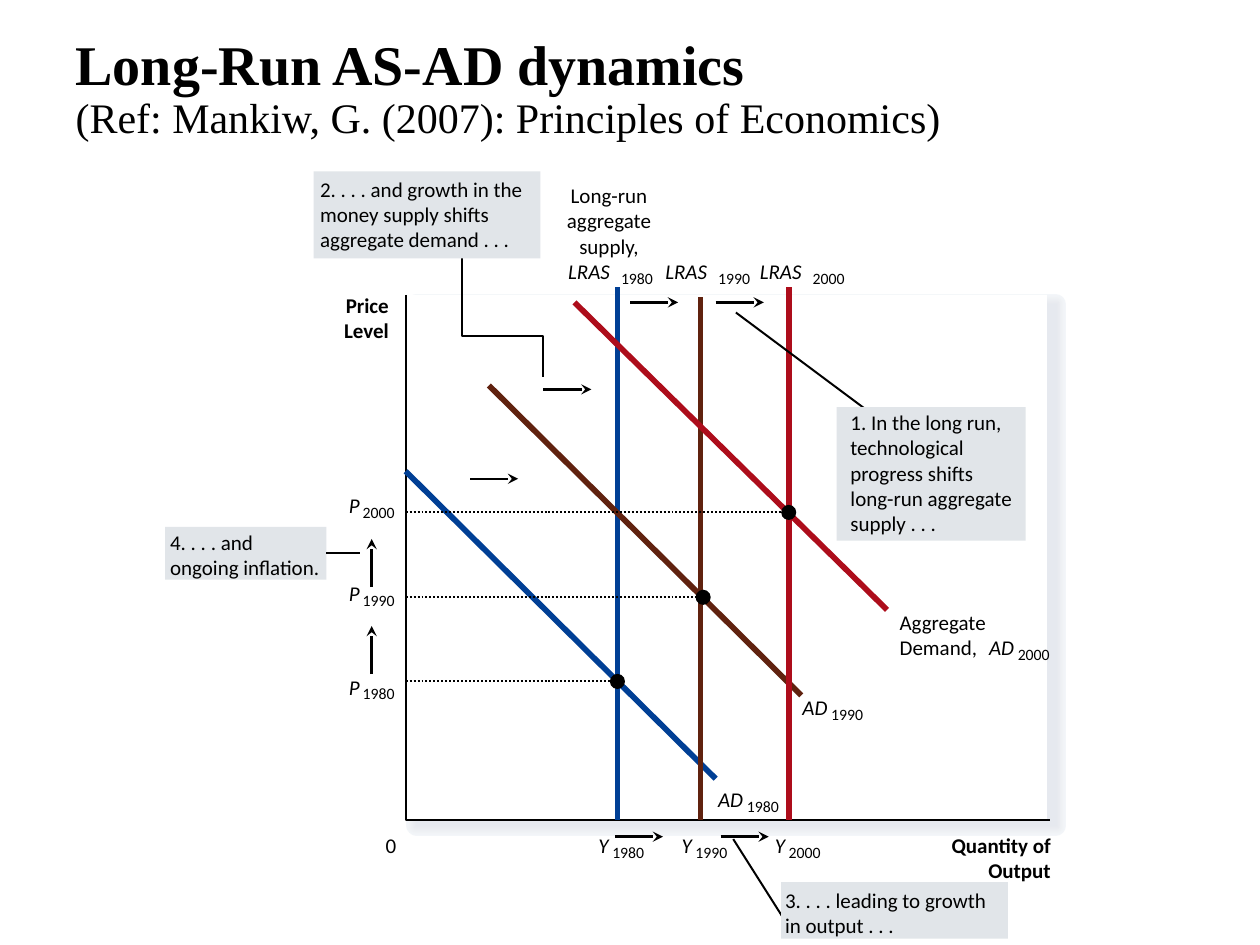
from lxml import etree
from pptx import Presentation
from pptx.dml.color import RGBColor
from pptx.enum import dml, shapes, text
from pptx.oxml import ns
from pptx.util import Pt

BLACK = RGBColor(0x00, 0x00, 0x00)
WHITE = RGBColor(0xFF, 0xFF, 0xFF)
BLUE = RGBColor(0x00, 0x3F, 0x95)
BROWN = RGBColor(0x60, 0x22, 0x0F)
RED = RGBColor(0xAD, 0x0D, 0x1B)
CALLOUT_GREY = RGBColor(0xE1, 0xE5, 0xE9)
SHADOW_STEPS = [
    (RGBColor(0xF3, 0xF6, 0xF9), 12), (RGBColor(0xF2, 0xF4, 0xF8), 10.88),
    (RGBColor(0xF1, 0xF4, 0xF7), 9.75), (RGBColor(0xF0, 0xF2, 0xF5), 8.75),
    (RGBColor(0xEE, 0xF1, 0xF4), 7.63), (RGBColor(0xED, 0xEF, 0xF3), 6.5),
    (RGBColor(0xEB, 0xEE, 0xF2), 5.5), (RGBColor(0xEA, 0xEC, 0xF1), 4.38),
    (RGBColor(0xE9, 0xEB, 0xF0), 3.25), (RGBColor(0xE7, 0xEA, 0xEF), 2.13),
    (RGBColor(0xE6, 0xE9, 0xEF), 1.13),
]
LEFT, RIGHT, CENTER = text.PP_ALIGN.LEFT, text.PP_ALIGN.RIGHT, text.PP_ALIGN.CENTER
THIN, ARROW, CURVE = 1.13, 1.38, 3.25
ARROW_LENGTH = 27.5
DOT = 8.64

TITLE = [("Long-Run AS-AD dynamics ", 32, True),
         ("(Ref: Mankiw, G. (2007): Principles of Economics)", 24, False)]

AXIS_LEFT, AXIS_TOP, AXIS_RIGHT, AXIS_BOTTOM = 231.8, 168.5, 599.8, 468.7

# Each year: supply curve, demand curve, equilibrium and the places of its labels
YEARS = [
    dict(year="1980", color=BLUE, supply=(352.8, 164.2),
         demand=(231.8, 269.3, 409, 445), equilibrium=(352.8, 389.4),
         labels=dict(Y=(342, 475.9), P=(199.4, 385.2),
                     AD=(410.4, 449.3), LRAS=(324.7, 147.6))),
    dict(year="1990", color=BROWN, supply=(400.3, 169.9),
         demand=(279.4, 220.3, 457.9, 397.4), equilibrium=(401.8, 341.3),
         labels=dict(Y=(389.5, 475.9), P=(199.4, 331.9),
                     AD=(458.6, 396.7), LRAS=(380.2, 147.6))),
    dict(year="2000", color=RED, supply=(450.7, 164.2),
         demand=(328.3, 172.8, 506.9, 348.5), equilibrium=(450.7, 292.8),
         labels=dict(Y=(442.8, 475.9), P=(199.4, 281.5),
                     AD=(565.2, 362.9), LRAS=(434.2, 147.6))),
]
YEAR_OFFSET = dict(Y=7.9, P=7.9, AD=16.4, LRAS=30.2)

RIGHT_ARROWS = [(351.4, 478.1), (411.8, 478.1), (310.5, 222.5),
                (268.6, 273.6), (360, 172.8), (409, 172.8)]
UP_ARROWS = [(212.4, 385.2), (212.4, 335.5)]

# lines, left, top, width, format
PLAIN_LABELS = [
    (["Price", "Level"], 182.2, 167.2, 40, dict(bold=True, align=RIGHT)),
    (["Quantity of", "Output"], 520, 475.9, 80.5, dict(bold=True, align=RIGHT)),
    (["0"], 220.3, 475.9, 12, {}),
    (["Long-run", "aggregate", "supply,"], 318, 104.4, 60, dict(align=CENTER)),
    (["Aggregate", "Demand,"], 514.1, 348.5, 62, {}),
]

# lines, box, left and top inset
CALLOUTS = {
    "supply": (["1. In the long run,", "technological", "progress shifts",
                "long-run aggregate", "supply . . ."],
               (478.1, 232.6, 108, 76.3), (7.9, 1.5)),
    "money": (["2. . . . and growth in the", "money supply shifts",
               "aggregate demand . . ."],
              (179.3, 97.9, 129.6, 49.7), (3.6, 2.9)),
    "output": (["3. . . . leading to growth", "in output . . ."],
               (446.4, 504, 129.6, 32.4), (2.2, 2.9)),
    "inflation": (["4. . . . and", "ongoing inflation."],
                  (94.3, 301, 92.2, 30.2), (2.9, 1.5)),
}
LEADERS = [(420.5, 178.6, 502.6, 239.8), (419, 479.5, 451.4, 530.6)]
MONEY_LEADER = [(264.2, 144.7), (264.2, 192.2), (310.3, 192.2), (310.3, 215.3)]

presentation = Presentation()
presentation.slide_width, presentation.slide_height = Pt(720), Pt(540)
slide = presentation.slides.add_slide(presentation.slide_layouts[5])


def write(frame, lines, size=12, bold=False, italic=False, align=LEFT, inset=(0, 0)):
    frame.word_wrap = True
    frame.vertical_anchor = text.MSO_ANCHOR.TOP
    frame.margin_left, frame.margin_top = Pt(inset[0]), Pt(inset[1])
    frame.margin_right = frame.margin_bottom = 0
    for number, line in enumerate(lines):
        paragraph = frame.add_paragraph() if number else frame.paragraphs[0]
        paragraph.alignment = align
        paragraph.line_spacing = Pt(size * 1.2)
        run = paragraph.add_run()
        run.text = line
        font = run.font
        font.name, font.size, font.bold, font.italic = "Calibri", Pt(size), bold, italic
        font.color.rgb = BLACK


def add_label(lines, left, top, width, size=12, **style):
    height = len(lines) * size * 1.2
    box = slide.shapes.add_textbox(Pt(left), Pt(top), Pt(width), Pt(height))
    write(box.text_frame, lines, size=size, **style)


def add_block(kind, box, fill, line=None, line_width=0):
    shape = slide.shapes.add_shape(kind, *map(Pt, box))
    shape.shadow.inherit = False
    shape.fill.solid()
    shape.fill.fore_color.rgb = fill
    if line is None:
        shape.line.fill.background()
    else:
        shape.line.color.rgb, shape.line.width = line, Pt(line_width)
    return shape


def add_line(x1, y1, x2, y2, color=BLACK, width=THIN, dotted=False, arrow=False):
    line = slide.shapes.add_connector(
        shapes.MSO_CONNECTOR.STRAIGHT, *map(Pt, (x1, y1, x2, y2)))
    line.line.color.rgb, line.line.width = color, Pt(width)
    if dotted:
        line.line.dash_style = dml.MSO_LINE.ROUND_DOT
    if arrow:
        etree.SubElement(line.line._get_or_add_ln(), ns.qn("a:tailEnd"), type="stealth")
    etree.SubElement(line._element.spPr, ns.qn("a:effectLst"))
    return line


def add_polyline(points):
    builder = slide.shapes.build_freeform(*map(Pt, points[0]))
    builder.add_line_segments([tuple(map(Pt, point)) for point in points[1:]], close=False)
    shape = builder.convert_to_shape()
    shape.shadow.inherit = False
    shape.fill.background()
    shape.line.color.rgb, shape.line.width = BLACK, Pt(THIN)


# Title
title = slide.shapes.title
title.left, title.top, title.width, title.height = map(Pt, (36, 6.5, 648, 90))
title.text_frame.auto_size = text.MSO_AUTO_SIZE.NONE
title.text_frame.vertical_anchor = text.MSO_ANCHOR.MIDDLE
heading = title.text_frame.paragraphs[0]
heading.alignment, heading.line_spacing = LEFT, 0.9
for number, (words, size, bold) in enumerate(TITLE):
    if number:
        heading.add_line_break()
    run = heading.add_run()
    run.text = words
    run.font.name, run.font.size, run.font.bold = "Times New Roman", Pt(size), bold
    run.font.color.rgb = BLACK

# Plot area with its soft shadow
RECTANGLE, OVAL = shapes.MSO_SHAPE.RECTANGLE, shapes.MSO_SHAPE.OVAL
for color, width in SHADOW_STEPS:
    add_block(RECTANGLE, (238.3, 174.2, 365, 297.4), color, color, width)
add_block(RECTANGLE, (230.4, 168.5, 367.9, 299.5), WHITE)
add_polyline([(AXIS_LEFT, AXIS_TOP), (AXIS_LEFT, AXIS_BOTTOM), (AXIS_RIGHT, AXIS_BOTTOM)])

# Curves and their labels
for item in YEARS:
    x, top = item["supply"]
    add_line(*item["demand"], color=item["color"], width=CURVE)
    add_line(x, top, x, AXIS_BOTTOM, color=item["color"], width=CURVE)
    for symbol, (left, top) in item["labels"].items():
        add_label([symbol], left, top, 31 if symbol == "LRAS" else 22, italic=True)
        add_label([item["year"]], left + YEAR_OFFSET[symbol], top + 5.8, 24.5, size=9)
for item in YEARS:
    x, y = item["equilibrium"]
    add_line(AXIS_LEFT, y, x, y, dotted=True)
    add_block(OVAL, (x - DOT / 2, y - DOT / 2, DOT, DOT), BLACK)

for x, y in RIGHT_ARROWS:
    add_line(x, y, x + ARROW_LENGTH, y, width=ARROW, arrow=True)
for x, y in UP_ARROWS:
    add_line(x, y, x, y - ARROW_LENGTH, width=ARROW, arrow=True)
for lines, left, top, width, style in PLAIN_LABELS:
    add_label(lines, left, top, width, **style)

# Callouts lie over the ends of their leaders
for leader in LEADERS:
    add_line(*leader)
add_polyline(MONEY_LEADER)
callouts = {}
for name, (lines, box, inset) in CALLOUTS.items():
    callouts[name] = add_block(RECTANGLE, box, CALLOUT_GREY)
    write(callouts[name].text_frame, lines, inset=inset)
add_line(186.5, 316.1, 205.9, 316.1).begin_connect(callouts["inflation"], 3)

presentation.save("out.pptx")
